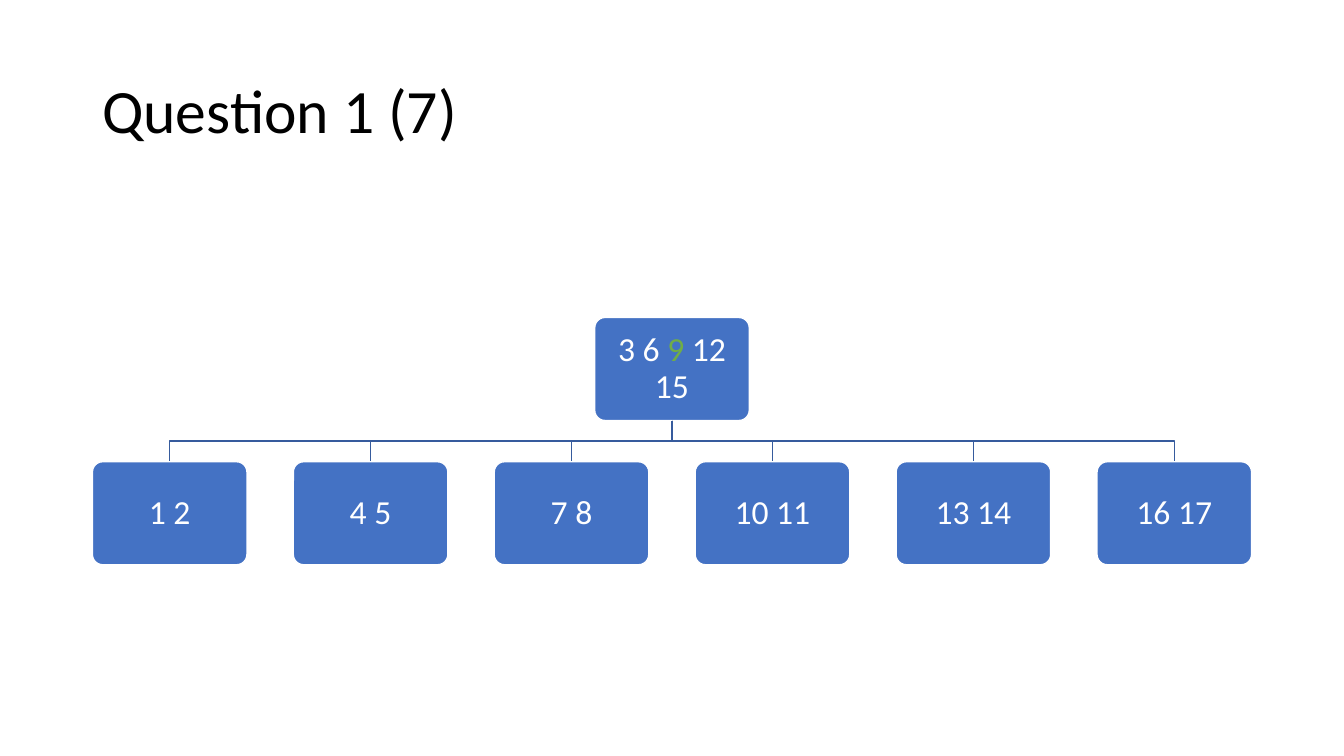
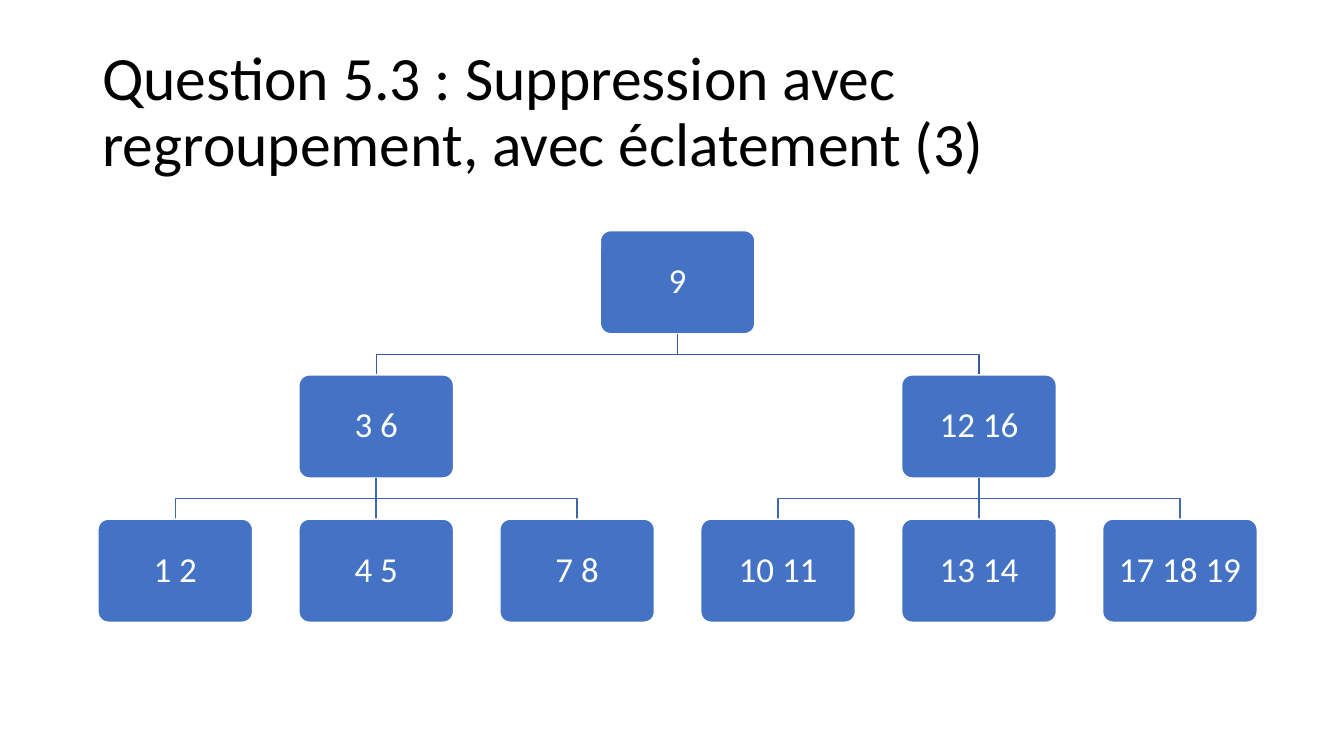
from collections import namedtuple
from dataclasses import dataclass

from lxml.etree import SubElement
from pptx import Presentation
from pptx.dml.color import RGBColor as RGB
from pptx.enum.shapes import MSO_CONNECTOR as Connector, MSO_SHAPE as Preset
from pptx.enum.text import MSO_ANCHOR as Anchor, PP_ALIGN as Align
from pptx.oxml.ns import qn
from pptx.util import Pt

Box = namedtuple("Box", "left top width height")
Node = namedtuple("Node", "keys children", defaults=((),))


@dataclass(frozen=True)
class Theme:
    font: str = "Calibri"
    title_size: float = 44
    title_color: RGB = RGB(0, 0, 0)
    node_fill: RGB = RGB(0x44, 0x72, 0xC4)
    node_text: RGB = RGB(0xFF, 0xFF, 0xFF)
    highlight: RGB = RGB(0x70, 0xAD, 0x47)
    branches: tuple = (RGB(0x36, 0x5B, 0x9D), RGB(0x3E, 0x67, 0xB2))
    line_width: float = 1
    line_spacing: float = 0.9


THEME = Theme()
TITLE_BOX = Box(66, 28.8, 828, 104.4)
GAP_X, GAP_Y = 0.3, 0.4  # shares of a node's width and height
NODE_RATIO = 2 / 3
NODE_INSET = 9.36


def write(shape, runs, *, size, color, align=Align.LEFT, insets=(7.2, 3.6)):
    """Fill a shape with one paragraph; a run is a string or (string, color)."""
    frame = shape.text_frame
    frame.word_wrap = True
    frame.vertical_anchor = Anchor.MIDDLE
    frame.margin_left = frame.margin_right = Pt(insets[0])
    frame.margin_top = frame.margin_bottom = Pt(insets[1])
    paragraph = frame.paragraphs[0]
    paragraph.alignment = align
    paragraph.line_spacing = THEME.line_spacing
    for item in runs:
        words, tint = (item, color) if isinstance(item, str) else item
        run = paragraph.add_run()
        run.text = words
        run.font.name = THEME.font
        run.font.size = Pt(size)
        run.font.color.rgb = tint


def add_title(slide, box, title):
    heading = slide.shapes.add_textbox(*map(Pt, box))
    write(heading, [title], size=THEME.title_size, color=THEME.title_color)


def add_node(shapes, box, keys, size):
    node = shapes.add_shape(Preset.ROUNDED_RECTANGLE, *map(Pt, box))
    node.adjustments[0] = 0.1
    node.shadow.inherit = False
    node.fill.solid()
    node.fill.fore_color.rgb = THEME.node_fill
    node.line.color.rgb = THEME.node_text
    node.line.width = Pt(THEME.line_width)
    write(node, keys, size=size, color=THEME.node_text, align=Align.CENTER,
          insets=(NODE_INSET, NODE_INSET))


def add_branch(shapes, start, end, color):
    """Link a parent's bottom to a child's top, bending halfway down."""
    (x1, y1), (x2, y2) = start, end
    if abs(x1 - x2) < 0.01:
        branch = shapes.add_connector(Connector.STRAIGHT, *map(Pt, (*start, *end)))
        SubElement(branch._element.spPr, qn("a:effectLst"))
    else:
        middle = (y1 + y2) / 2
        outline = shapes.build_freeform(Pt(x1), Pt(y1))
        corners = [(x1, middle), (x2, middle), end]
        outline.add_line_segments([(Pt(x), Pt(y)) for x, y in corners], close=False)
        branch = outline.convert_to_shape()
        branch.fill.background()
        branch.shadow.inherit = False
    branch.line.color.rgb = color
    branch.line.width = Pt(THEME.line_width)


def count_leaves(node):
    return sum(map(count_leaves, node.children)) or 1


def add_tree(slide, box, root, size):
    """Spread the leaves over the box and centre each parent above its leaves."""
    leaves = count_leaves(root)
    width = box.width / (leaves + (leaves - 1) * GAP_X)
    height = width * NODE_RATIO
    pitch_x, pitch_y = width * (1 + GAP_X), height * (1 + GAP_Y)
    shapes = slide.shapes.add_group_shape().shapes

    def center(node, first):
        return box.left + width / 2 + (first + (count_leaves(node) - 1) / 2) * pitch_x

    def grow(node, first, depth):
        x, top = center(node, first), box.top + depth * pitch_y
        add_node(shapes, Box(x - width / 2, top, width, height), node.keys, size)
        for child in node.children:
            add_branch(shapes, (x, top + height),
                       (center(child, first), top + pitch_y), THEME.branches[depth])
            grow(child, first, depth + 1)
            first += count_leaves(child)

    grow(root, 0, 0)


def leaf_row(*labels):
    return [Node([label]) for label in labels]


def tree_slide(deck, title, box, root, size):
    slide = deck.slides.add_slide(deck.slide_layouts[6])
    add_title(slide, TITLE_BOX, title)
    add_tree(slide, box, root, size)


deck = Presentation()
deck.slide_width, deck.slide_height = Pt(960), Pt(540)

# Five keys in the root, the middle one highlighted
full_root = Node(["3 6 ", ("9", THEME.highlight), " 12 15"],
                 leaf_row("1 2", "4 5", "7 8", "10 11", "13 14", "16 17"))
tree_slide(deck, "Question 1 (7)", Box(66, 226.8, 828, 176.4), full_root, 24)

# Three levels after the split
split_root = Node(["9"], [
    Node(["3 6"], leaf_row("1 2", "4 5", "7 8")),
    Node(["12 16"], leaf_row("10 11", "13 14", "17 18 19")),
])
tree_slide(deck, "Question 5.3 : Suppression avec regroupement, avec éclatement (3)",
           Box(70, 164.8, 828, 279.4), split_root, 25)

deck.save("out.pptx")
